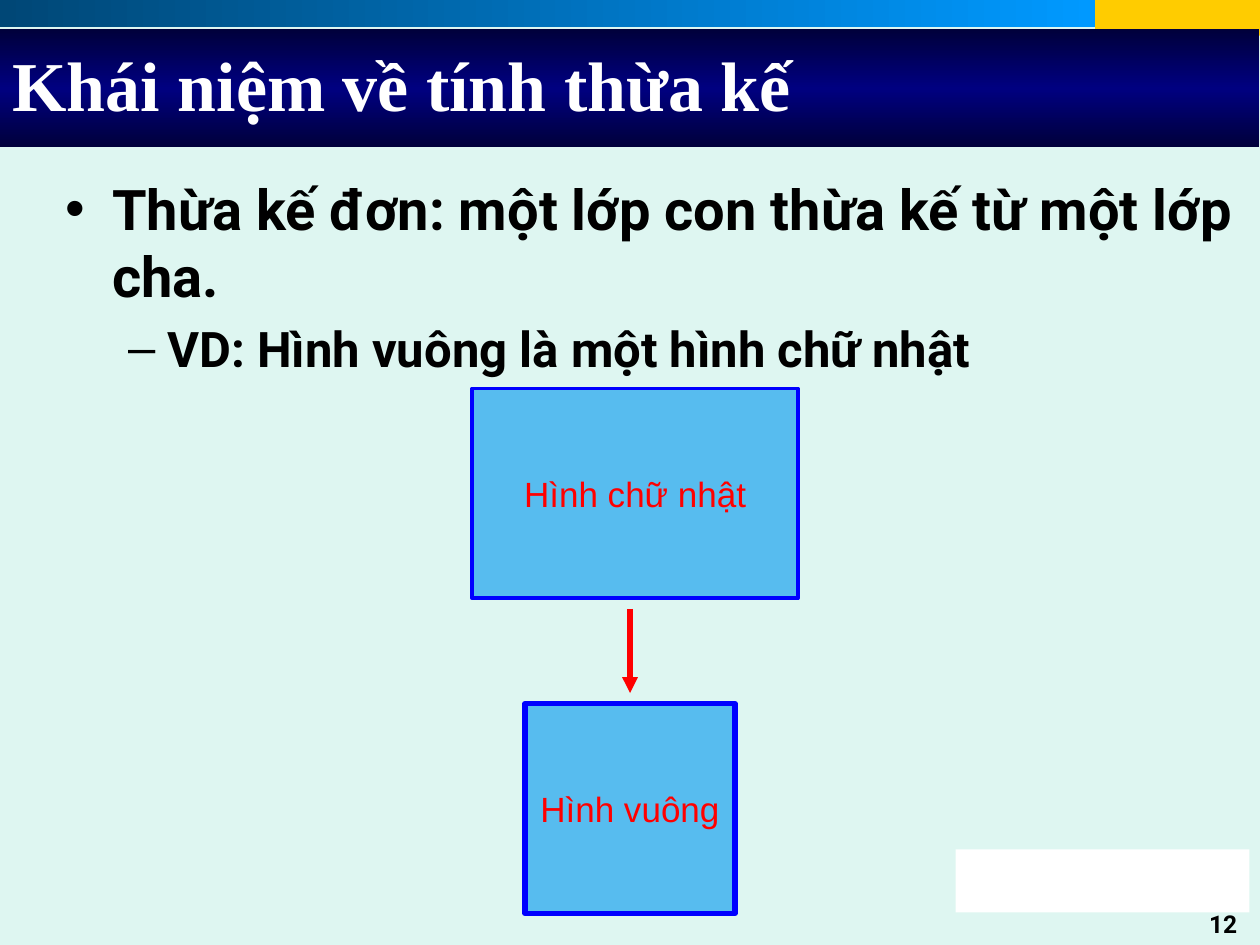
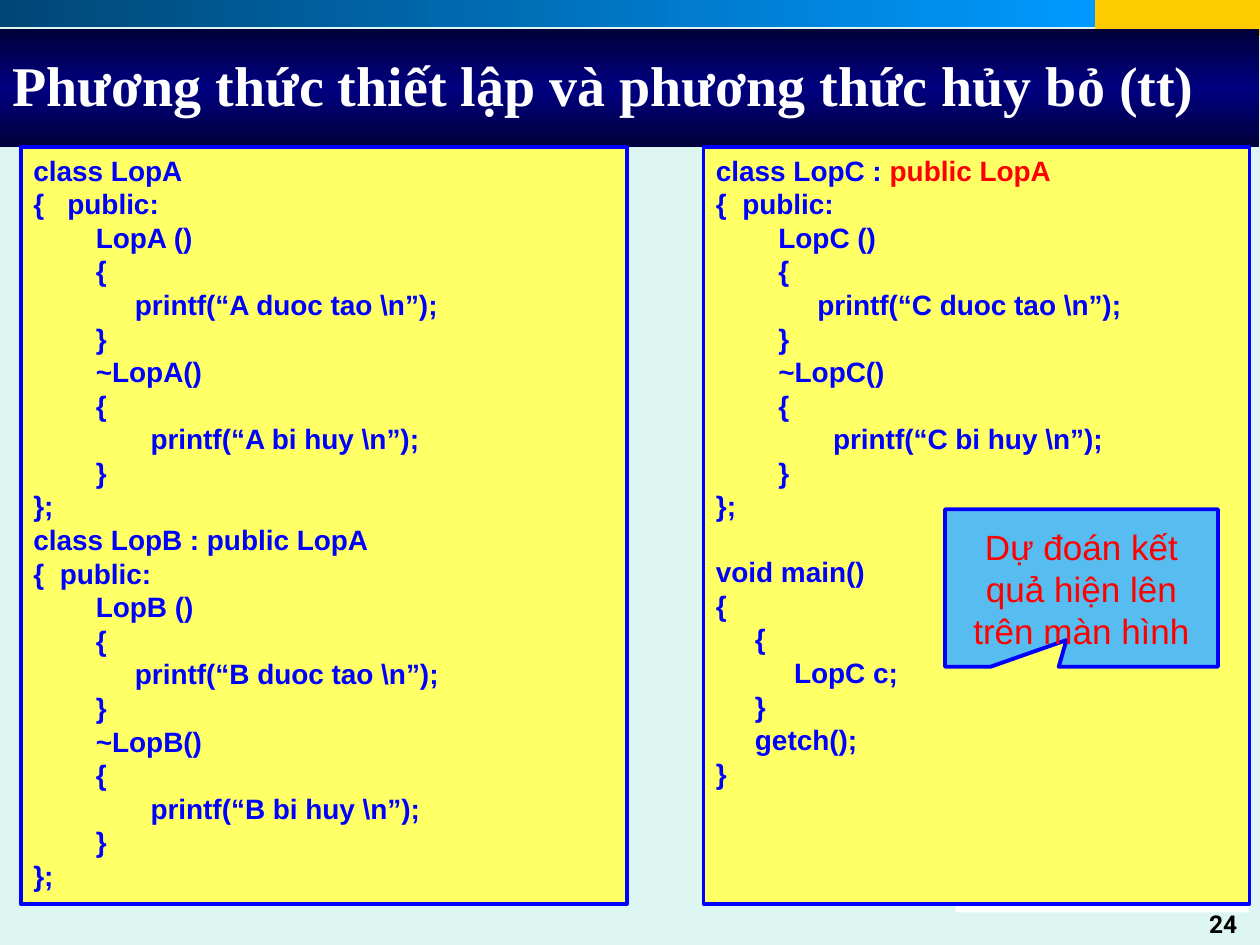
from lxml.etree import SubElement
from pptx import Presentation
from pptx.dml.color import RGBColor
from pptx.enum.shapes import MSO_CONNECTOR, MSO_SHAPE as SHAPE
from pptx.enum.text import MSO_ANCHOR as ANCHOR, MSO_AUTO_SIZE as AUTO, PP_ALIGN as ALIGN
from pptx.oxml.ns import qn
from pptx.util import Inches, Pt

COLS, ROWS = 120, 90
CELL = Inches(10) / COLS
SPACE = 0.062
MINT, YELLOW, SKY = "DEF6F1", "FFFF66", "57BCEF"
BLUE, RED, WHITE, BLACK = "0000FF", "FF0000", "FFFFFF", "000000"
SERIF, SANS, BODY = "Times New Roman", "Arial", "Roboto"


def rgb(color):
    """Turn a hex string into a colour."""
    return RGBColor.from_string(color)


def grid(*cells):
    """Turn counts of grid cells into lengths."""
    return [round(n * CELL) for n in cells]


def place(sp, box):
    """Put a shape at left, top, width, height in grid cells."""
    sp.left, sp.top, sp.width, sp.height = grid(*box)


def style(p, font, size, color, bold=False):
    """Format every run of a paragraph."""
    for r in p.runs:
        f = r.font
        f.name, f.size, f.bold = font, Pt(size), bold
        f.color.rgb = rgb(color)


def add_box(s, box, fill, line=None, width=2.25, kind=SHAPE.RECTANGLE):
    """Add a filled shape, outlined only when a line colour is given."""
    sp = s.shapes.add_shape(kind, *grid(*box))
    sp.shadow.inherit = False
    sp.fill.solid()
    sp.fill.fore_color.rgb = rgb(fill)
    if line:
        sp.line.color.rgb = rgb(line)
        sp.line.width = Pt(width)
    else:
        sp.line.fill.background()
    return sp


def set_gradient(sp, colors, angle):
    """Fill a shape with evenly spaced gradient stops."""
    sp.fill.gradient()
    sp.fill.gradient_angle = angle
    stops = sp._element.spPr.find(qn("a:gradFill")).find(qn("a:gsLst"))
    for gs in list(stops):
        stops.remove(gs)
    for i, color in enumerate(colors):
        pos = str(100000 * i // (len(colors) - 1))
        gs = SubElement(stops, qn("a:gs"), pos=pos)
        SubElement(gs, qn("a:srgbClr"), val=color)


def add_master_bands(prs, s):
    """Set the shared background and move the bands onto the master."""
    master = prs.slide_master
    master.background.fill.solid()
    master.background.fill.fore_color.rgb = rgb(MINT)
    corner = add_box(s, (104.3, 0, 15.7, 3.4), "FFCC00")
    strip = add_box(s, (0, 0, 104.3, 2.6), "004776")
    set_gradient(strip, ["004776", "0099FF"], 0)
    title_band = add_box(s, (0, 2.8, 119.9, 11.2), "000080")
    set_gradient(title_band, ["00003B", "000080", "00003B"], 90)
    footer = add_box(s, (91, 80.9, 28, 6), WHITE)
    for i, sp in enumerate([corner, strip, title_band, footer]):
        master.shapes._spTree.insert(2 + i, sp._element)


def set_title(s, text, size, width):
    """Fill and format the title placeholder."""
    sp = s.shapes.title
    place(sp, (0, 2, width, 12))
    tf = sp.text_frame
    tf.text = text
    tf.auto_size = AUTO.NONE
    tf.vertical_anchor = ANCHOR.MIDDLE
    tf.paragraphs[0].alignment = ALIGN.LEFT
    style(tf.paragraphs[0], SERIF, size, WHITE, True)


def add_number(s, number):
    """Write the slide number at the bottom right."""
    tf = s.shapes.add_textbox(*grid(91, 86, 28, 3.8)).text_frame
    tf.word_wrap = True
    p = tf.paragraphs[0]
    p.text = str(number)
    p.alignment = ALIGN.RIGHT
    style(p, BODY, 14, BLACK, True)


def set_body(s, items):
    """Fill the body placeholder with (level, size, space before, text) items."""
    sp = s.placeholders[1]
    place(sp, (5, 16, 114, 67))
    tf = sp.text_frame
    tf.auto_size = AUTO.NONE
    for i, (level, size, gap, text) in enumerate(items):
        p = tf.add_paragraph() if i else tf.paragraphs[0]
        p.text, p.level, p.space_before = text, level, Pt(gap)
        style(p, BODY, size, BLACK, True)


def add_label(s, box, text, width=2.25, kind=SHAPE.RECTANGLE):
    """Add a sky-blue shape with centred red text."""
    sp = add_box(s, box, SKY, BLUE, width, kind)
    tf = sp.text_frame
    tf.text = text
    tf.word_wrap = True
    tf.vertical_anchor = ANCHOR.MIDDLE
    tf.paragraphs[0].alignment = ALIGN.CENTER
    style(tf.paragraphs[0], SANS, 20, RED)
    return sp


def add_arrow(s, start, end):
    """Draw a red arrow between two grid points."""
    c = s.shapes.add_connector(MSO_CONNECTOR.STRAIGHT, *grid(*start, *end))
    c.line.color.rgb = rgb(RED)
    c.line.width = Pt(3)
    SubElement(c.line._get_or_add_ln(), qn("a:tailEnd"), type="triangle")
    SubElement(c._element.spPr, qn("a:effectLst"))


def class_code(letter, base="", tab=0.21):
    """List the (indent, text, tab stop) lines of one class."""
    name = f"Lop{letter}"
    return [
        (0, f"class {name}{base}", 0),
        (0, "{\tpublic:", tab),
        (8, f"{name} ()", 0),
        (8, "{", 0),
        (13, f"printf(“{letter} duoc tao \\n”);", 0),
        (8, "}", 0),
        (8, f"~{name}()", 0),
        (8, "{", 0),
        (15, f"printf(“{letter} bi huy \\n”);", 0),
        (8, "}", 0),
        (0, "};", 0),
    ]


def add_code(s, box, lines, red=None, gap_before=None):
    """Add a code panel, with one red phrase and one spaced line if named."""
    tf = add_box(s, box, YELLOW, BLUE).text_frame
    tf.word_wrap = True
    tf.vertical_anchor = ANCHOR.TOP
    for i, (indent, text, tab) in enumerate(lines):
        p = tf.add_paragraph() if i else tf.paragraphs[0]
        p.alignment = ALIGN.LEFT
        if text == gap_before:
            p.space_before = Pt(18.4)
        pPr = p._p.get_or_add_pPr()
        pPr.set("marL", str(Inches(indent * SPACE)))
        if tab:
            tabs = SubElement(pPr, qn("a:tabLst"))
            SubElement(tabs, qn("a:tab"), pos=str(Inches(tab)), algn="l")
        parts = text.partition(red) if red else (text,)
        for part in filter(None, parts):
            p.add_run().text = part
        style(p, SANS, 16, BLUE, True)
        for r in p.runs:
            if r.text == red:
                r.font.color.rgb = rgb(RED)


def add_inheritance(prs):
    """Build the slide on single inheritance."""
    s = prs.slides.add_slide(prs.slide_layouts[1])
    add_master_bands(prs, s)
    set_title(s, "Khái niệm về tính thừa kế", 40, 114)
    set_body(s, [
        (0, 32, 0, "Thừa kế đơn: một lớp con thừa kế từ một lớp cha."),
        (1, 28, 5.6, "VD: Hình vuông là một hình chữ nhật"),
    ])
    add_label(s, (50, 67, 20, 20), "Hình vuông", 3)
    add_label(s, (45, 37, 31, 20), "Hình chữ nhật")
    add_arrow(s, (60, 58), (60, 66))
    add_number(s, 12)


def add_constructors(prs):
    """Build the slide on constructors and destructors."""
    s = prs.slides.add_slide(prs.slide_layouts[5])
    set_title(s, "Phương thức thiết lập và phương thức hủy bỏ (tt)", 32, 119)
    main_code = [(0, "void main()", 0), (0, "{", 0), (5, "{", 0), (10, "LopC c;", 0),
                 (5, "}", 0), (5, "getch();", 0), (0, "}", 0)]
    base = " : public LopA"
    add_code(s, (67, 14, 52, 72.1), class_code("C", base) + main_code,
             red="public LopA", gap_before="void main()")
    add_code(s, (2, 14, 57.7, 72.1), class_code("A", tab=0.27) + class_code("B", base))
    callout = add_label(s, (90, 48.5, 26, 15), "Dự đoán kết quả hiện lên trên màn hình",
                        kind=SHAPE.ROUNDED_RECTANGULAR_CALLOUT)
    for i, value in enumerate((-0.055, 0.331, 0)):
        callout.adjustments[i] = value
    add_number(s, 24)


def main():
    """Build and save the presentation."""
    prs = Presentation()
    prs.slide_width, prs.slide_height = grid(COLS, ROWS)
    add_inheritance(prs)
    add_constructors(prs)
    prs.save("out.pptx")


if __name__ == "__main__":
    main()
